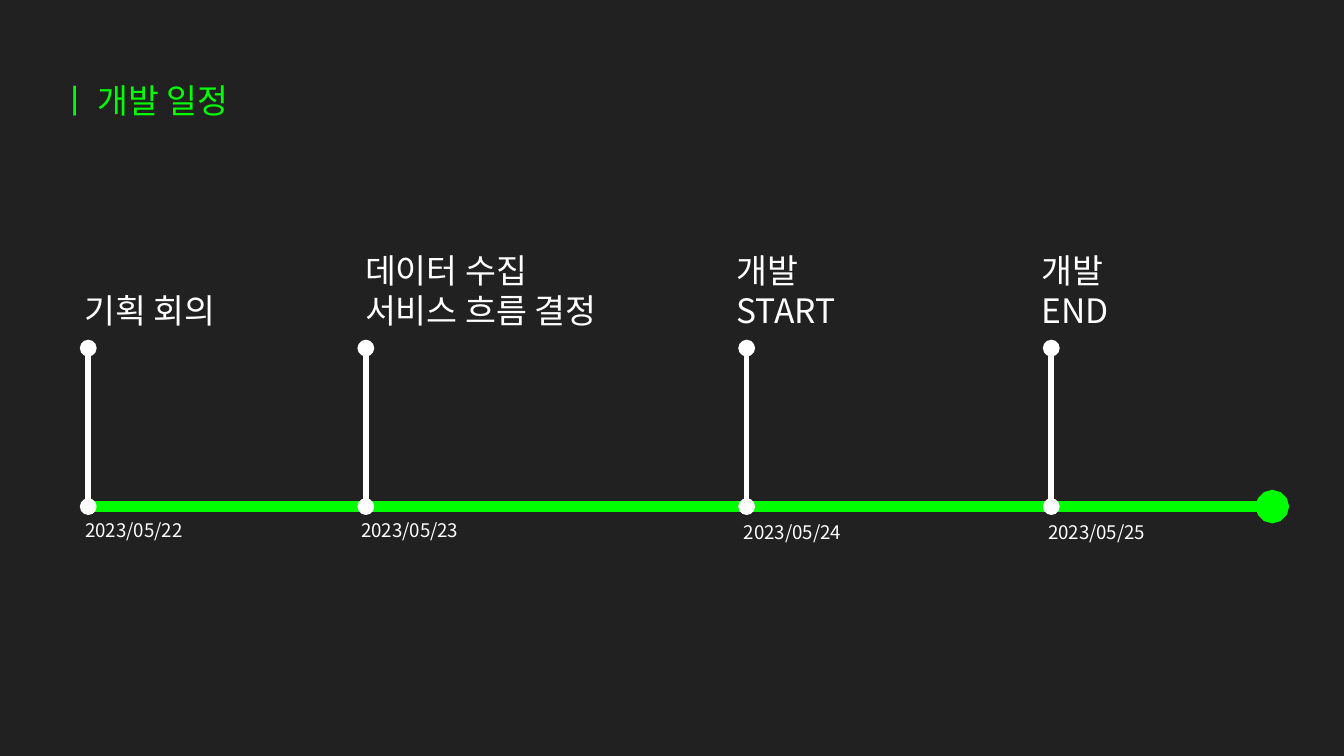
from pptx import Presentation
from pptx.dml.color import RGBColor
from pptx.enum.shapes import MSO_CONNECTOR
from pptx.enum.text import MSO_ANCHOR, PP_ALIGN
from pptx.oxml.ns import qn
from pptx.util import Pt
from lxml import etree

STRAIGHT = MSO_CONNECTOR.STRAIGHT
TOP = MSO_ANCHOR.TOP
LEFT = PP_ALIGN.LEFT

FONT = "Noto Sans CJK KR"
BACKGROUND, GREEN, WHITE = "212121", "00FF00", "FFFFFF"
TITLE = "ㅣ 개발 일정"

# stem x, label lines, label left, label width, date, date left, date top
MILESTONES = [
    (47.3, ["기획 회의"], 38.2, 140, "2023/05/22", 38.6, 272),
    (196, ["데이터 수집", "서비스 흐름 결정"], 188.5, 163, "2023/05/23", 186.4, 272),
    (400, ["개발", "START"], 387.4, 86, "2023/05/24", 391.5, 273),
    (563.2, ["개발", "END"], 550.8, 97, "2023/05/25", 554.4, 273),
]
AXIS_LEFT, AXIS_RIGHT, AXIS_Y = 44.6, 681.6, 271.4
STEM_TOP = 186.5
LABEL_BOTTOM = 184.2
INSET = 7.2
LABEL_SIZE, DATE_SIZE = 18, 10
LEADING = 1.2


def color(hex_string):
    return RGBColor.from_string(hex_string)


def write(shape, lines, size, fill):
    frame = shape.text_frame
    frame.word_wrap = True
    frame.vertical_anchor = TOP
    frame.margin_left = frame.margin_right = Pt(INSET)
    frame.margin_top = frame.margin_bottom = Pt(INSET)
    frame.text = "\n".join(lines)
    for paragraph in frame.paragraphs:
        paragraph.alignment = LEFT
        paragraph.space_before = Pt(0)
        paragraph.line_spacing = Pt(size * LEADING)
        for run in paragraph.runs:
            run.font.size = Pt(size)
            run.font.name = FONT
            run.font.color.rgb = color(fill)
            east_asian = etree.SubElement(run.font._element, qn("a:ea"))
            east_asian.set("typeface", FONT)


def add_text(slide, lines, left, top, width, size, fill=WHITE):
    height = 2 * INSET + len(lines) * size * LEADING
    box = slide.shapes.add_textbox(Pt(left), Pt(top), Pt(width), Pt(height))
    write(box, lines, size, fill)


def add_line(slide, start, end, fill, width, oval_ends):
    """Draw a line with round dots at the given ends (headEnd, tailEnd)."""
    line = slide.shapes.add_connector(STRAIGHT, *map(Pt, start + end))
    line.line.color.rgb = color(fill)
    line.line.width = Pt(width)
    outline = line.line._get_or_add_ln()
    for name in oval_ends:
        etree.SubElement(outline, qn(f"a:{name}")).set("type", "oval")
    etree.SubElement(line._element.spPr, qn("a:effectLst"))


def main():
    presentation = Presentation()
    presentation.slide_width, presentation.slide_height = Pt(720), Pt(405)
    slide = presentation.slides.add_slide(presentation.slide_layouts[5])
    slide.background.fill.solid()
    slide.background.fill.fore_color.rgb = color(BACKGROUND)

    title = slide.shapes.title
    title.left, title.top, title.width, title.height = map(Pt, (24.5, 35.5, 671, 45))
    write(title, [TITLE], LABEL_SIZE, GREEN)

    add_line(slide, (AXIS_LEFT, AXIS_Y), (AXIS_RIGHT, AXIS_Y), GREEN, 6, ["tailEnd"])
    for x, label, label_left, label_width, date, date_left, date_top in MILESTONES:
        add_line(slide, (x, AXIS_Y), (x, STEM_TOP), WHITE, 3, ["headEnd", "tailEnd"])
        label_top = LABEL_BOTTOM - 2 * INSET - len(label) * LABEL_SIZE * LEADING
        add_text(slide, label, label_left, label_top, label_width, LABEL_SIZE)
        add_text(slide, [date], date_left, date_top, 86, DATE_SIZE)

    presentation.save("out.pptx")


if __name__ == "__main__":
    main()
